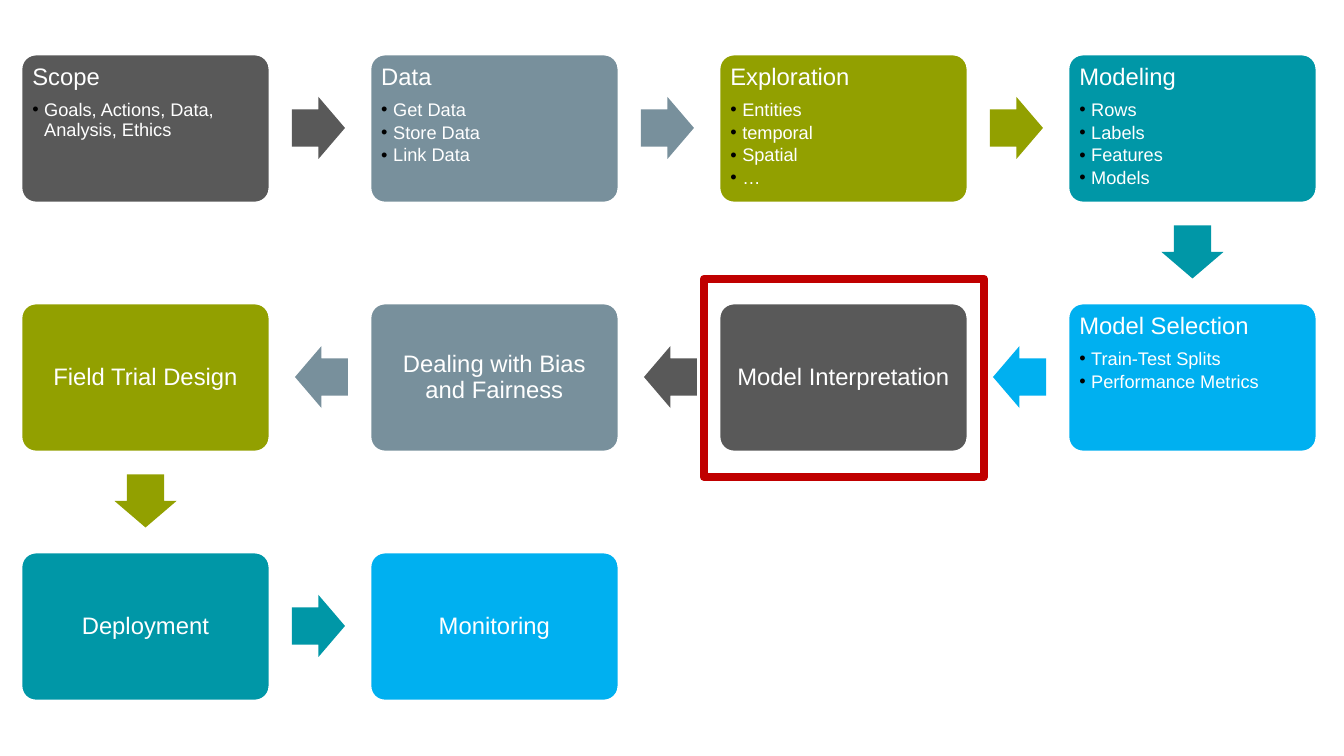
from dataclasses import dataclass

from lxml import etree
from pptx import Presentation
from pptx.dml.color import RGBColor
from pptx.enum.shapes import MSO_SHAPE
from pptx.enum.text import MSO_ANCHOR, PP_ALIGN
from pptx.oxml.ns import qn
from pptx.util import Emu, Pt

ROUNDED = MSO_SHAPE.ROUNDED_RECTANGLE
ARROW = MSO_SHAPE.RIGHT_ARROW
RECTANGLE = MSO_SHAPE.RECTANGLE
TOP, MIDDLE = MSO_ANCHOR.TOP, MSO_ANCHOR.MIDDLE
LEFT, CENTER = PP_ALIGN.LEFT, PP_ALIGN.CENTER

WHITE = RGBColor(0xFF, 0xFF, 0xFF)
BLACK = RGBColor(0x00, 0x00, 0x00)
GRAY = RGBColor(0x59, 0x59, 0x59)
SLATE = RGBColor(0x78, 0x90, 0x9C)
OLIVE = RGBColor(0x92, 0xA0, 0x00)
TEAL = RGBColor(0x00, 0x97, 0xA7)
BLUE = RGBColor(0x00, 0xB0, 0xF0)
RED = RGBColor(0xC0, 0x00, 0x00)
STEP_COLORS = (GRAY, SLATE, OLIVE, TEAL, BLUE)

FONT = "Arial"
EMU_PER_PX = 914400 / 100.8
SLIDE_W, SLIDE_H = 1344, 756
COLUMNS = 4
GRID_LEFT, GRID_TOP = 21, 54
COLUMN_PITCH, ROW_PITCH = 349, 249
STEP_W, STEP_H = 249, 149
ARROW_W, ARROW_H = 53, 62
TEXT_INSET = 7
BULLET_INDENT = 12


@dataclass(frozen=True)
class Step:
    heading: str
    details: tuple[str, ...] = ()


@dataclass(frozen=True)
class Direction:
    dx: int
    dy: int
    rotation: int


RIGHTWARD = Direction(271, 43, 0)
LEFTWARD = Direction(-75, 43, 180)
DOWNWARD = Direction(98, 167, 90)

STEPS = (
    Step("Scope", ("Goals, Actions, Data, Analysis, Ethics",)),
    Step("Data", ("Get Data", "Store Data", "Link Data")),
    Step("Exploration", ("Entities", "temporal", "Spatial", "…")),
    Step("Modeling", ("Rows", "Labels", "Features", "Models")),
    Step("Model Selection", ("Train-Test Splits", "Performance Metrics")),
    Step("Model Interpretation"),
    Step("Dealing with Bias and Fairness"),
    Step("Field Trial Design"),
    Step("Deployment"),
    Step("Monitoring"),
)


def px(length: int) -> Emu:
    return Emu(round(length * EMU_PER_PX))


def add_block(slide, kind, left: int, top: int, width: int, height: int,
              fill=None, line=None, line_width: int = 0):
    block = slide.shapes.add_shape(kind, px(left), px(top), px(width), px(height))
    block.shadow.inherit = False
    if fill is None:
        block.fill.background()
    else:
        block.fill.solid()
        block.fill.fore_color.rgb = fill
    if line is None:
        block.line.fill.background()
    else:
        block.line.color.rgb = line
        block.line.width = Pt(line_width)
    return block


def add_bullet(paragraph) -> None:
    properties = paragraph._p.get_or_add_pPr()
    properties.set("marL", str(px(BULLET_INDENT)))
    properties.set("indent", str(-px(BULLET_INDENT)))
    color = etree.SubElement(properties, qn("a:buClr"))
    etree.SubElement(color, qn("a:srgbClr"), val=str(BLACK))
    etree.SubElement(properties, qn("a:buFont"), typeface=FONT)
    etree.SubElement(properties, qn("a:buChar"), char="•")


def write_text(paragraph, text: str, *, size: int, space_after: float,
               align=LEFT, bullet: bool = False) -> None:
    paragraph.alignment = align
    paragraph.line_spacing = 0.9
    paragraph.space_after = Pt(space_after)
    if bullet:
        paragraph.level = 1
        add_bullet(paragraph)
    run = paragraph.add_run()
    run.text = text
    run.font.name = FONT
    run.font.size = Pt(size)
    run.font.color.rgb = WHITE


def draw_step(slide, step: Step, left: int, top: int, color: RGBColor) -> None:
    box = add_block(slide, ROUNDED, left, top, STEP_W, STEP_H, color, WHITE, 2)
    box.adjustments[0] = 0.1
    frame = box.text_frame
    frame.word_wrap = True
    frame.margin_left = frame.margin_right = px(TEXT_INSET)
    frame.margin_top = frame.margin_bottom = px(TEXT_INSET)
    frame.vertical_anchor = TOP if step.details else MIDDLE
    write_text(frame.paragraphs[0], step.heading, size=17, space_after=6.8,
               align=LEFT if step.details else CENTER)
    for detail in step.details:
        write_text(frame.add_paragraph(), detail, size=13, space_after=2.2, bullet=True)


def draw_arrow(slide, direction: Direction, left: int, top: int, color: RGBColor) -> None:
    arrow = add_block(slide, ARROW, left + direction.dx, top + direction.dy,
                      ARROW_W, ARROW_H, color)
    arrow.adjustments[0] = 0.6
    arrow.adjustments[1] = 0.5
    arrow.rotation = direction.rotation


def draw_process(slide) -> None:
    for index, step in enumerate(STEPS):
        row, position = divmod(index, COLUMNS)
        forward = row % 2 == 0
        column = position if forward else COLUMNS - 1 - position
        left = GRID_LEFT + column * COLUMN_PITCH
        top = GRID_TOP + row * ROW_PITCH
        color = STEP_COLORS[index % len(STEP_COLORS)]
        draw_step(slide, step, left, top, color)
        if index == len(STEPS) - 1:
            continue
        if position == COLUMNS - 1:
            direction = DOWNWARD
        else:
            direction = RIGHTWARD if forward else LEFTWARD
        draw_arrow(slide, direction, left, top, color)


def main() -> None:
    deck = Presentation()
    deck.slide_width, deck.slide_height = px(SLIDE_W), px(SLIDE_H)
    slide = deck.slides.add_slide(deck.slide_layouts[6])
    draw_process(slide)
    add_block(slide, RECTANGLE, 704, 279, 280, 198, line=RED, line_width=6)
    deck.save("out.pptx")


if __name__ == "__main__":
    main()
